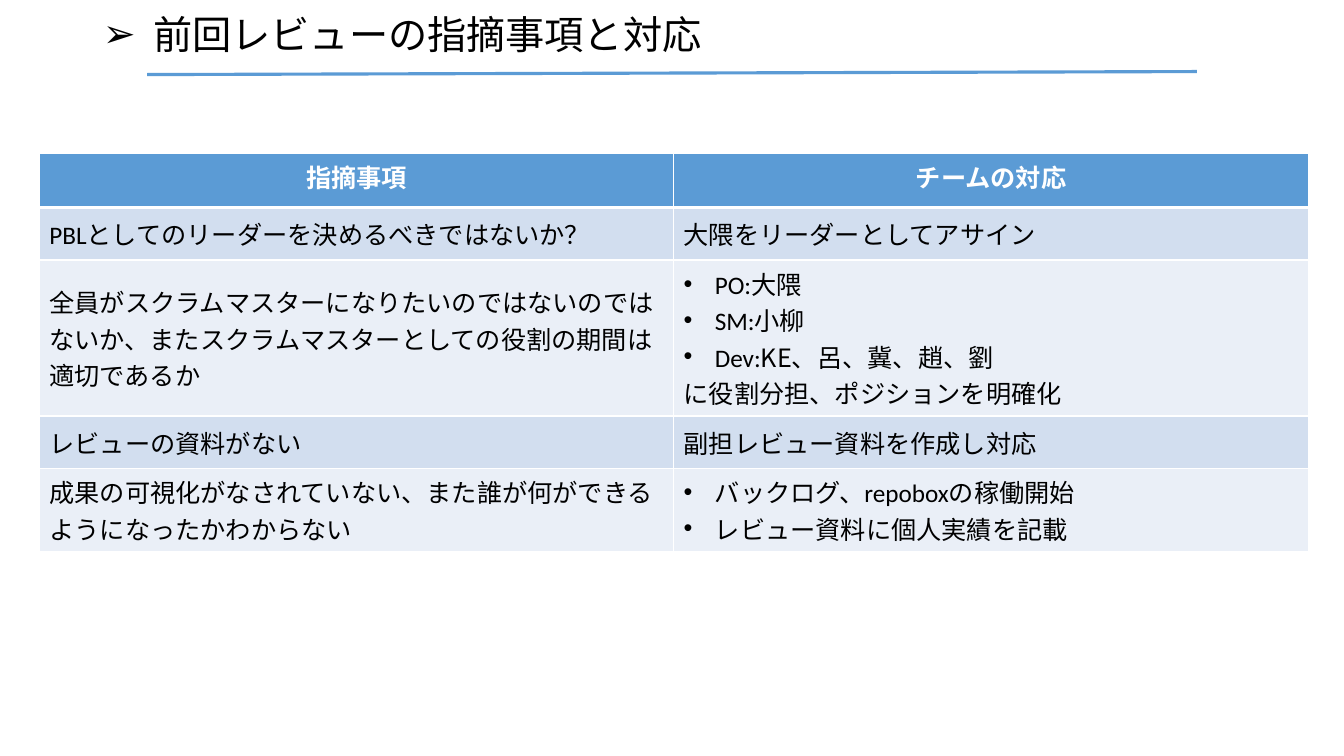
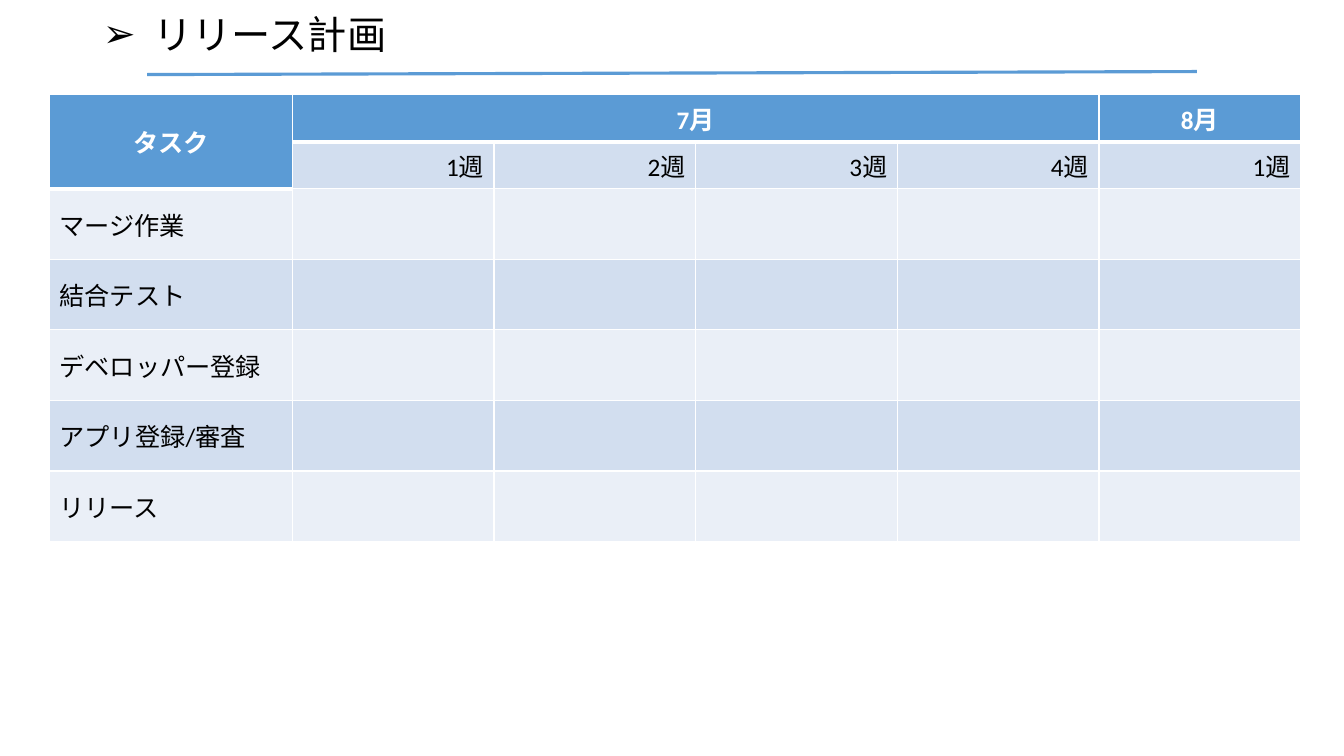
from dataclasses import dataclass

from lxml import etree
from pptx import Presentation
from pptx import util as u
from pptx.dml.color import RGBColor
from pptx.enum import shapes, text
from pptx.oxml import ns

PX = 9144  # EMU in one px, 100 px to the inch


@dataclass(frozen=True)
class Theme:
    accent: str = "5B9BD5"
    bands: tuple = ("D2DEEF", "EAEFF7")
    ink: str = "000000"
    white: str = "FFFFFF"
    latin_font: str = "Calibri"
    japanese_font: str = "Noto Sans CJK JP"
    title_size: int = 28
    body_size: int = 18
    rule_width: float = 2.25
    thin_border: int = 1
    thick_border: int = 3


@dataclass(frozen=True)
class Point:
    """A bulleted paragraph of a cell; the tail is set in the Japanese font."""
    words: str
    tail: str = ""


THEME = Theme()
ALIGN = text.PP_ALIGN


def px(length):
    return u.Emu(length * PX)


def add_child(parent, tag, **attributes):
    return etree.SubElement(parent, ns.qn(tag), attributes)


def write(paragraph, words, *, size=THEME.body_size, color=THEME.ink, bold=False,
          font=THEME.latin_font, align=ALIGN.LEFT, bullet=None, indent=0, tail=""):
    """Fill a paragraph with one run, or two when there is a tail."""
    paragraph.alignment = align
    for run_words, run_font in ((words, font), (tail, THEME.japanese_font)):
        if not run_words:
            continue
        run = paragraph.add_run()
        run.text = run_words
        run.font.size, run.font.bold, run.font.name = u.Pt(size), bold, run_font
        run.font.color.rgb = RGBColor.from_string(color)
        latin = run.font._element.find(ns.qn("a:latin"))
        east_asian = etree.Element(ns.qn("a:ea"), typeface=THEME.japanese_font)
        latin.addnext(east_asian)
    if bullet:
        properties = paragraph._p.get_or_add_pPr()
        properties.set("marL", str(px(indent)))
        properties.set("indent", str(-px(indent)))
        add_child(properties, "a:buFont", typeface="Arial")
        add_child(properties, "a:buChar", char=bullet)


def set_borders(cell, widths):
    """Draw white borders; widths maps a:lnL, a:lnR, a:lnT, a:lnB to points."""
    properties = cell._tc.get_or_add_tcPr()
    for tag, width in widths.items():
        line = add_child(properties, tag, w=str(u.Pt(width)))
        fill = add_child(line, "a:solidFill")
        add_child(fill, "a:srgbClr", val=THEME.white)


class Deck:
    def __init__(self, width, height):
        self.presentation = Presentation()
        self.presentation.slide_width = px(width)
        self.presentation.slide_height = px(height)
        self.slide = None

    def add_slide(self, title):
        self.slide = self.presentation.slides.add_slide(self.presentation.slide_layouts[5])
        self.title(title)
        self.rule(146, 74, 1187, 71)

    def title(self, words):
        shape = self.slide.shapes.title
        shape.left, shape.top, shape.width, shape.height = map(px, (92, 0, 1150, 72))
        frame = shape.text_frame
        frame.word_wrap = True
        frame.auto_size = text.MSO_AUTO_SIZE.NONE
        frame.vertical_anchor = text.MSO_ANCHOR.MIDDLE
        paragraph = frame.paragraphs[0]
        paragraph.line_spacing = 0.9
        write(paragraph, words, size=THEME.title_size, font=THEME.japanese_font,
              bullet="➢", indent=50)

    def rule(self, x1, y1, x2, y2):
        line = self.slide.shapes.add_connector(
            shapes.MSO_CONNECTOR.STRAIGHT, *map(px, (x1, y1, x2, y2)))
        line.line.color.rgb = RGBColor.from_string(THEME.accent)
        line.line.width = u.Pt(THEME.rule_width)
        add_child(line._element.spPr, "a:effectLst")

    def table(self, left, top, widths, heights, rows, *, merges=(), right_rows=(),
              header_anchor=text.MSO_ANCHOR.MIDDLE):
        """Build a banded table; rows hold a string or a list of paragraphs per cell.

        Row 0 and every cell merged into it form the header.
        """
        table = self.slide.shapes.add_table(
            len(heights), len(widths),
            *map(px, (left, top, sum(widths), sum(heights)))).table
        for column, width in zip(table.columns, widths):
            column.width = px(width)
        for row, height in zip(table.rows, heights):
            row.height = px(height)
        for first, last in merges:
            table.cell(*first).merge(table.cell(*last))

        for row_index, contents in enumerate(rows):
            contents = contents + [""] * (len(widths) - len(contents))
            for column_index, content in enumerate(contents):
                cell = table.cell(row_index, column_index)
                is_header = row_index == 0 or cell.is_spanned
                self.style_cell(cell, row_index, is_header)
                cell.vertical_anchor = header_anchor if is_header else text.MSO_ANCHOR.MIDDLE
                if is_header:
                    style = {"color": THEME.white, "bold": True, "align": ALIGN.CENTER}
                else:
                    style = {"align": ALIGN.RIGHT if row_index in right_rows else ALIGN.LEFT}
                self.fill_cell(cell, content, style)

    def style_cell(self, cell, row_index, is_header):
        thin = THEME.thin_border
        widths = {"a:lnL": thin, "a:lnR": thin}
        if row_index == 0:
            widths["a:lnT"] = thin
        widths["a:lnB"] = THEME.thick_border if is_header else thin
        set_borders(cell, widths)
        cell.fill.solid()
        color = THEME.accent if is_header else THEME.bands[(row_index - 1) % 2]
        cell.fill.fore_color.rgb = RGBColor.from_string(color)

    def fill_cell(self, cell, content, style):
        frame = cell.text_frame
        for index, item in enumerate([content] if isinstance(content, str) else content):
            paragraph = frame.add_paragraph() if index else frame.paragraphs[0]
            if isinstance(item, Point):
                write(paragraph, item.words, tail=item.tail, bullet="•", indent=31, **style)
            else:
                write(paragraph, item, **style)


def add_review_slide(deck):
    deck.add_slide("前回レビューの指摘事項と対応")
    rows = [
        ["指摘事項", "チームの対応"],
        ["PBLとしてのリーダーを決めるべきではないか？", "大隈をリーダーとしてアサイン"],
        ["全員がスクラムマスターになりたいのではないのではないか、"
         "またスクラムマスターとしての役割の期間は適切であるか",
         [Point("PO:大隈"), Point("SM:小柳"), Point("Dev:", tail="KE、呂、冀、趙、劉"),
          "に役割分担、ポジションを明確化"]],
        ["レビューの資料がない", "副担レビュー資料を作成し対応"],
        ["成果の可視化がなされていない、また誰が何ができるようになったかわからない",
         [Point("バックログ、repoboxの稼働開始"), Point("レビュー資料に個人実績を記載")]],
    ]
    deck.table(39, 152, [629, 630], [54, 52, 154, 52, 82], rows,
               header_anchor=text.MSO_ANCHOR.TOP)


def add_release_slide(deck):
    deck.add_slide("リリース計画")
    tasks = ["マージ作業", "結合テスト", "デベロッパー登録", "アプリ登録/審査", "リリース"]
    rows = [
        ["タスク", "7月", "", "", "", "8月"],
        ["", "1週", "2週", "3週", "4週", "1週"],
        *[[task] for task in tasks],
    ]
    deck.table(49, 94, [241] + [200] * 5, [47, 45] + [70] * len(tasks), rows,
               merges=[((0, 0), (1, 0)), ((0, 1), (0, 4))], right_rows=(1,))


def main():
    deck = Deck(1333, 750)
    add_review_slide(deck)
    add_release_slide(deck)
    deck.presentation.save("out.pptx")


if __name__ == "__main__":
    main()
